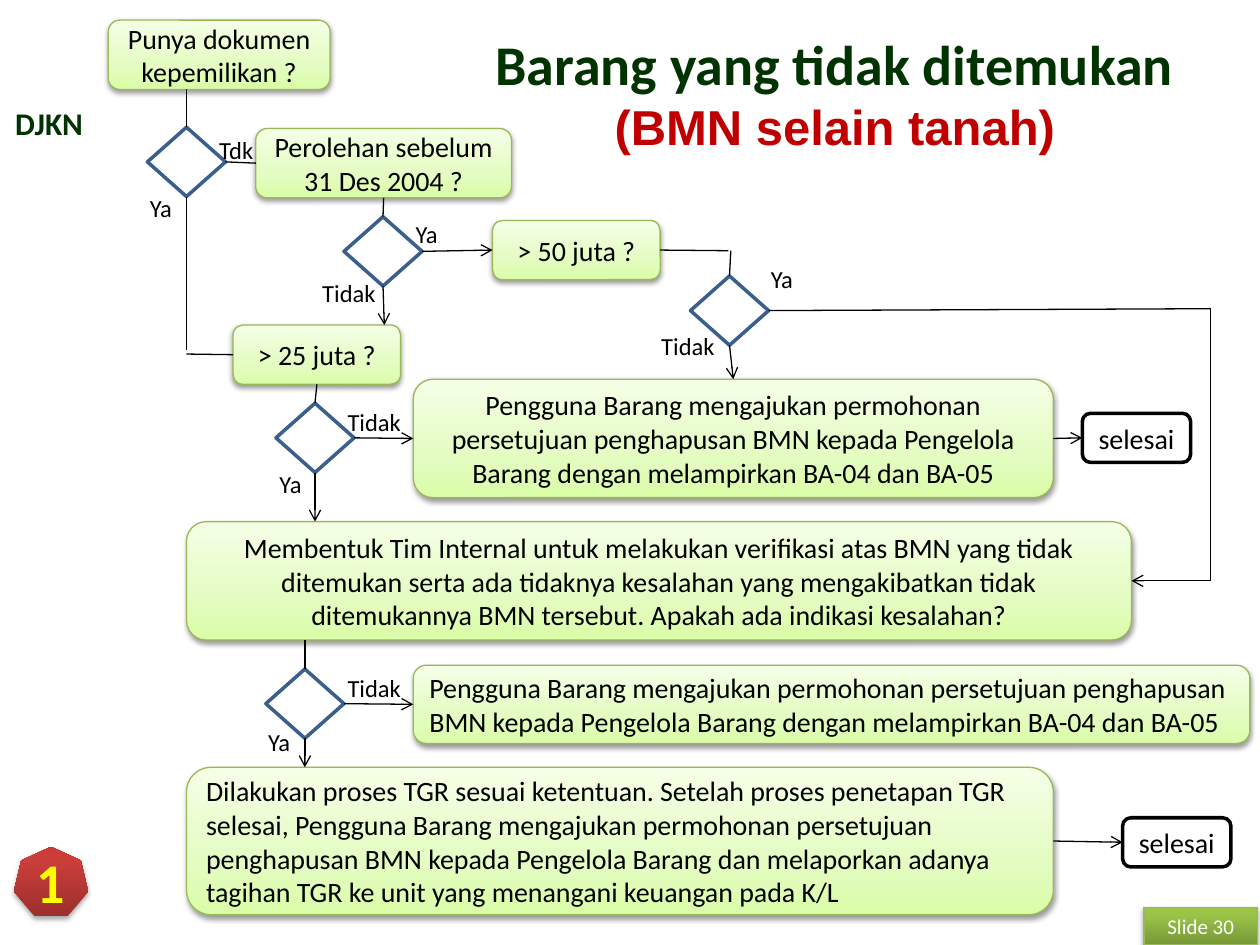
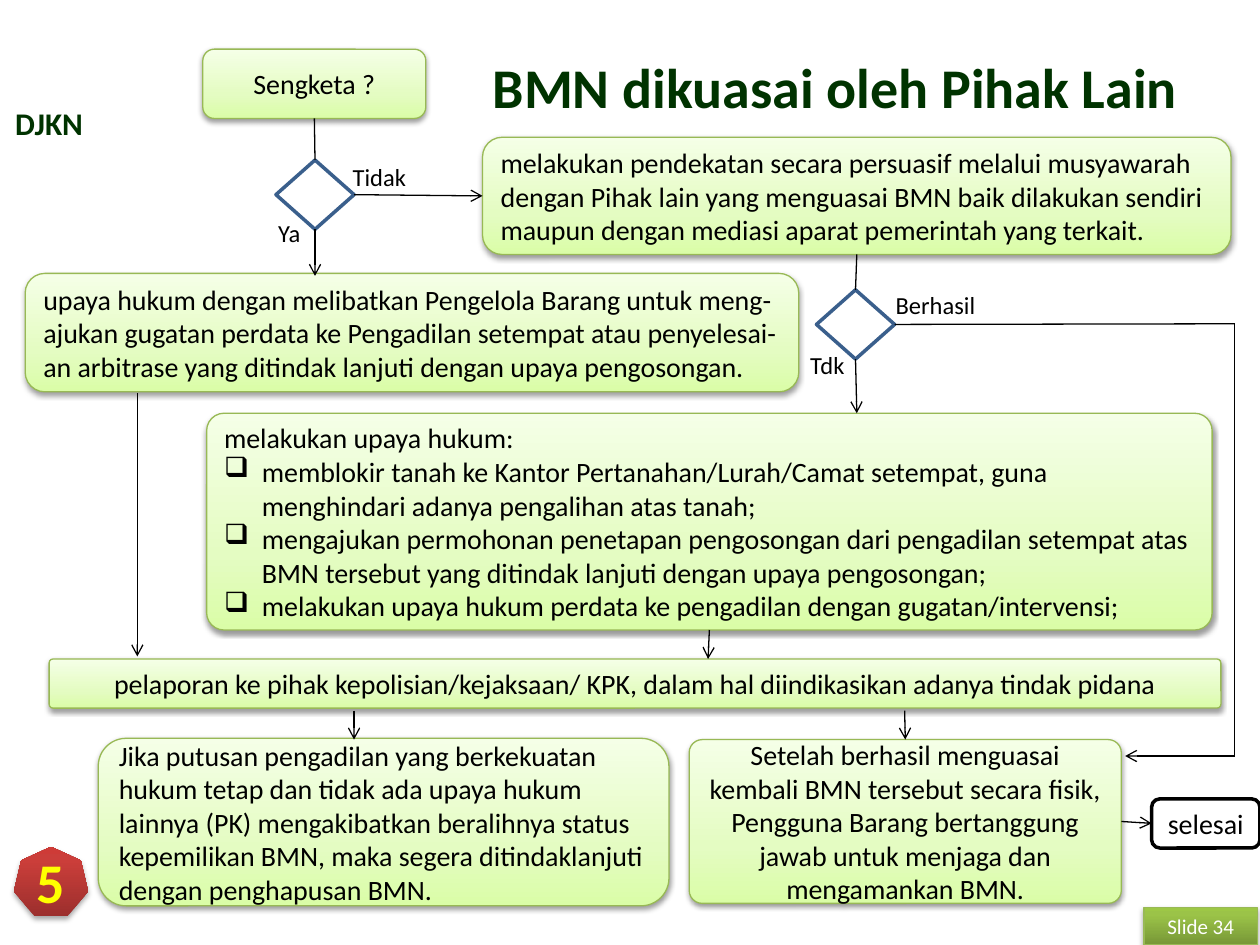
from dataclasses import dataclass
from enum import IntEnum

from lxml.etree import SubElement
from pptx import Presentation
from pptx.dml.color import RGBColor
from pptx.enum.shapes import MSO_CONNECTOR as CONN, MSO_SHAPE as SHAPE
from pptx.enum.text import MSO_ANCHOR as ANCHOR, PP_ALIGN as ALIGN
from pptx.oxml.ns import qn
from pptx.util import Emu, Inches, Pt

COLORS = {
    "black": "000000", "white": "FFFFFF", "title": "003300", "subtitle": "C00000",
    "number": "FFFF00", "edge": "98B955", "diamond": "3A5F8C",
}
BOX_GRADIENT = ((0, "DAFDA7"), (35, "E4FCC2"), (100, "F5FFE7"))
TAG_GRADIENT = ((0, "779737"), (80, "9BC348"), (100, "9DC746"))
BADGE_GRADIENT = ((0, "9C2F2D"), (80, "CB3E3A"), (100, "CE3B37"))


class Site(IntEnum):
    TOP = 0
    LEFT = 1
    BOTTOM = 2
    RIGHT = 3


TOP, LEFT, BOTTOM, RIGHT = Site
Area = tuple[float, float, float, float]
End = tuple[str, Site] | tuple[float, float]  # node side, or a free point


@dataclass(frozen=True)
class Style:
    shape: SHAPE
    gradient: tuple[tuple[int, str], ...] = ()
    fill: str = ""
    line: str = ""
    width: float = 0.75
    shadow: tuple[int, float] = ()  # opacity in percent, distance in points
    color: str = "black"
    size: int = 16
    bold: bool = False


BOX = Style(SHAPE.ROUNDED_RECTANGLE, BOX_GRADIENT, line="edge", shadow=(38, 1.6))
DONE = Style(SHAPE.ROUNDED_RECTANGLE, fill="white", line="black", width=2)
DECISION = Style(SHAPE.DIAMOND, line="diamond", width=2)
BADGE = Style(SHAPE.HEPTAGON, BADGE_GRADIENT, shadow=(35, 1.8),
              color="number", size=32, bold=True)
TAG = Style(SHAPE.RECTANGLE, TAG_GRADIENT, line="edge", shadow=(35, 1.8),
            color="white", size=12)


@dataclass(frozen=True)
class Node:
    name: str
    area: Area
    text: str = ""
    style: Style = BOX
    align: ALIGN = ALIGN.CENTER
    bullets: tuple[str, ...] = ()
    corner: float | None = None


@dataclass(frozen=True)
class Link:
    start: End
    end: End
    arrow: bool = True


@dataclass(frozen=True)
class Label:
    text: str
    area: Area
    align: ALIGN = ALIGN.LEFT


@dataclass(frozen=True)
class Page:
    title: str
    title_area: Area
    badge: str
    number: int
    nodes: tuple[Node, ...]
    links: tuple[Link, ...]
    labels: tuple[Label, ...]
    subtitle: str = ""


def decision(name: str, left: float, top: float) -> Node:
    return Node(name, (left, top, 0.62, 0.55), style=DECISION)


def done(name: str, left: float, top: float) -> Node:
    return Node(name, (left, top, 0.86, 0.39), "selesai", DONE)


def rgb(name: str) -> RGBColor:
    return RGBColor.from_string(COLORS[name])


def add_run(p, text: str, size: int, color: str, bold: bool = False,
            font: str = "Calibri") -> None:
    r = p.add_run()
    r.text = text
    r.font.name, r.font.size, r.font.bold = font, Pt(size), bold
    r.font.color.rgb = rgb(color)


def add_text(slide, text: str, area: Area, size: int, color: str, bold: bool = False,
             align: ALIGN = ALIGN.CENTER, anchor: ANCHOR = ANCHOR.TOP):
    tf = slide.shapes.add_textbox(*map(Inches, area)).text_frame
    tf.word_wrap, tf.vertical_anchor = True, anchor
    p = tf.paragraphs[0]
    p.alignment = align
    add_run(p, text, size, color, bold)
    return p


def set_gradient(sp, stops: tuple[tuple[int, str], ...]) -> None:
    sp.fill.gradient()
    sp.fill.gradient_angle = 90
    gs_list = sp._element.spPr.find(qn("a:gradFill")).find(qn("a:gsLst"))
    for gs in list(gs_list):
        gs_list.remove(gs)
    for pos, color in stops:
        gs = SubElement(gs_list, qn("a:gs"), pos=str(pos * 1000))
        SubElement(gs, qn("a:srgbClr"), val=color)


def set_shadow(sp, opacity: int, distance: float) -> None:
    effects = sp._element.spPr.find(qn("a:effectLst"))
    outer = SubElement(effects, qn("a:outerShdw"), blurRad=str(Pt(3.1)),
                       dist=str(Pt(distance)), dir="5400000", rotWithShape="0")
    color = SubElement(outer, qn("a:srgbClr"), val=COLORS["black"])
    SubElement(color, qn("a:alpha"), val=str(opacity * 1000))


def set_bullet(p) -> None:
    pPr = p._p.get_or_add_pPr()
    indent = Inches(0.3)
    pPr.set("marL", str(indent))
    pPr.set("indent", str(-indent))
    SubElement(pPr, qn("a:buChar"), char="❑")


def add_node(slide, node: Node):
    style = node.style
    sp = slide.shapes.add_shape(style.shape, *map(Inches, node.area))
    if node.corner is not None:
        sp.adjustments[0] = node.corner
    # Fill, outline and shadow
    if style.gradient:
        set_gradient(sp, style.gradient)
    elif style.fill:
        sp.fill.solid()
        sp.fill.fore_color.rgb = rgb(style.fill)
    else:
        sp.fill.background()
    if style.line:
        sp.line.color.rgb = rgb(style.line)
        sp.line.width = Pt(style.width)
    else:
        sp.line.fill.background()
    sp.shadow.inherit = False
    if style.shadow:
        set_shadow(sp, *style.shadow)
    # Text
    if node.text:
        tf = sp.text_frame
        tf.word_wrap, tf.vertical_anchor = True, ANCHOR.MIDDLE
        for i, text in enumerate((node.text, *node.bullets)):
            p = tf.add_paragraph() if i else tf.paragraphs[0]
            if i:
                set_bullet(p)
            p.alignment = node.align
            add_run(p, text, style.size, style.color, style.bold)
    return sp


def add_link(slide, link: Link, shapes: dict) -> None:
    cxn = slide.shapes.add_connector(CONN.STRAIGHT, Emu(0), Emu(0), Emu(0), Emu(0))
    # Free points first, since joining a side keeps the other end in place
    if not isinstance(link.start[0], str):
        cxn.begin_x, cxn.begin_y = map(Inches, link.start)
    if not isinstance(link.end[0], str):
        cxn.end_x, cxn.end_y = map(Inches, link.end)
    if isinstance(link.start[0], str):
        cxn.begin_connect(shapes[link.start[0]], int(link.start[1]))
    if isinstance(link.end[0], str):
        cxn.end_connect(shapes[link.end[0]], int(link.end[1]))
    cxn.line.color.rgb = rgb("black")
    cxn.line.width = Pt(0.75)
    if link.arrow:
        SubElement(cxn.line._get_or_add_ln(), qn("a:tailEnd"), type="arrow")
    SubElement(cxn._element.spPr, qn("a:effectLst"))


def add_page(prs, page: Page) -> None:
    slide = prs.slides.add_slide(prs.slide_layouts[6])
    # Shared frame: unit name, title, number badge and slide tag
    add_text(slide, "DJKN", (0, 0.78, 0.78, 0.4), 18, "title", True)
    p = add_text(slide, page.title, page.title_area, 32, "title", True,
                 anchor=ANCHOR.MIDDLE)
    if page.subtitle:
        p.add_line_break()
        add_run(p, page.subtitle, 28, "subtitle", True, "Arial")
    add_node(slide, Node("badge", (0.11, 6.72, 0.59, 0.55), page.badge, BADGE))
    add_node(slide, Node("tag", (9.08, 7.2, 0.9, 0.3), f"Slide {page.number}", TAG))
    # Flowchart
    shapes = {node.name: add_node(slide, node) for node in page.nodes}
    for link in page.links:
        add_link(slide, link, shapes)
    for label in page.labels:
        add_text(slide, label.text, label.area, 14, "black", align=label.align)


HAPUS = ("Pengguna Barang mengajukan permohonan persetujuan penghapusan BMN kepada "
         "Pengelola Barang dengan melampirkan BA-04 dan BA-05")

NOT_FOUND = Page(
    "Barang yang tidak ditemukan", (3.75, 0.3, 5.75, 0.87), "1", 30,
    subtitle="(BMN selain tanah)",
    nodes=(
        Node("dokumen", (0.86, 0.16, 1.76, 0.55), "Punya dokumen kepemilikan ?"),
        decision("cek dokumen", 1.17, 1.01),
        Node("perolehan", (2.03, 1.02, 2.03, 0.55), "Perolehan sebelum 31 Des 2004 ?"),
        decision("cek perolehan", 2.73, 1.72),
        Node("50 juta", (3.91, 1.75, 1.33, 0.47), "> 50 juta ?"),
        decision("cek 50", 5.48, 2.19),
        Node("25 juta", (1.85, 2.58, 1.33, 0.47), "> 25 juta ?"),
        decision("cek 25", 2.19, 3.2),
        Node("hapus", (3.28, 3.01, 5.08, 0.94), HAPUS),
        done("selesai hapus", 8.59, 3.28),
        Node("tim", (1.48, 4.14, 7.5, 0.94),
             "Membentuk Tim Internal untuk melakukan verifikasi atas BMN yang tidak "
             "ditemukan serta ada tidaknya kesalahan yang mengakibatkan tidak "
             "ditemukannya BMN tersebut. Apakah ada indikasi kesalahan?"),
        decision("cek salah", 2.11, 5.31),
        Node("tanpa salah", (3.28, 5.28, 6.64, 0.62), HAPUS, align=ALIGN.LEFT),
        Node("tgr", (1.48, 6.09, 6.88, 1.17),
             "Dilakukan proses TGR sesuai ketentuan. Setelah proses penetapan TGR "
             "selesai, Pengguna Barang mengajukan permohonan persetujuan penghapusan "
             "BMN kepada Pengelola Barang dan melaporkan adanya tagihan TGR ke unit "
             "yang menangani keuangan pada K/L", align=ALIGN.LEFT),
        done("selesai tgr", 8.91, 6.49),
    ),
    links=(
        Link((1.48, 0.71), ("cek dokumen", TOP), False),
        Link(("cek dokumen", BOTTOM), (1.48, 2.78), False),
        Link((1.48, 2.81), ("25 juta", LEFT), False),
        Link(("cek dokumen", RIGHT), ("perolehan", LEFT), False),
        Link(("perolehan", BOTTOM), ("cek perolehan", TOP), False),
        Link(("cek perolehan", RIGHT), ("50 juta", LEFT)),
        Link(("cek perolehan", BOTTOM), (3.05, 2.58)),
        Link(("50 juta", RIGHT), (5.78, 1.99), False),
        Link((5.8, 1.99), ("cek 50", TOP), False),
        Link(("cek 50", BOTTOM), ("hapus", TOP)),
        Link(("cek 50", RIGHT), (9.61, 2.45), False),
        Link((9.61, 2.45), (9.61, 4.61), False),
        Link((9.61, 4.61), ("tim", RIGHT)),
        Link(("25 juta", BOTTOM), ("cek 25", TOP), False),
        Link(("cek 25", RIGHT), ("hapus", LEFT)),
        Link(("cek 25", BOTTOM), (2.5, 4.14)),
        Link(("hapus", RIGHT), ("selesai hapus", LEFT)),
        Link((2.42, 5.08), ("cek salah", TOP), False),
        Link(("cek salah", RIGHT), ("tanpa salah", LEFT)),
        Link(("cek salah", BOTTOM), (2.42, 6.09)),
        Link(("tgr", RIGHT), ("selesai tgr", LEFT)),
    ),
    labels=(
        Label("Tdk", (1.64, 1.02, 0.62, 0.34)),
        Label("Ya", (1.09, 1.48, 0.55, 0.34)),
        Label("Ya", (3.2, 1.69, 0.55, 0.34)),
        Label("Tidak", (2.3, 2.16, 0.78, 0.34), ALIGN.RIGHT),
        Label("Ya", (6.02, 2.05, 0.55, 0.34)),
        Label("Tidak", (5.08, 2.58, 0.69, 0.34), ALIGN.RIGHT),
        Label("Tidak", (2.66, 3.18, 0.78, 0.34)),
        Label("Ya", (2.12, 3.67, 0.47, 0.34)),
        Label("Tidak", (2.66, 5.29, 0.69, 0.34)),
        Label("Ya", (2.03, 5.72, 0.47, 0.34)),
    ),
)

OCCUPIED = Page(
    "BMN dikuasai oleh Pihak Lain", (3.67, 0.25, 5.92, 0.87), "5", 34,
    nodes=(
        Node("sengketa", (1.61, 0.39, 1.77, 0.55), "Sengketa ?"),
        decision("cek sengketa", 2.19, 1.27),
        Node("persuasif", (3.83, 1.09, 5.94, 0.93),
             "melakukan pendekatan secara persuasif melalui musyawarah dengan Pihak "
             "lain yang menguasai BMN baik dilakukan sendiri maupun dengan mediasi "
             "aparat pemerintah yang terkait.", align=ALIGN.LEFT),
        decision("cek berhasil", 6.48, 2.3),
        Node("gugatan", (0.2, 2.17, 6.14, 0.94),
             "upaya hukum dengan melibatkan Pengelola Barang untuk meng-ajukan gugatan "
             "perdata ke Pengadilan setempat atau penyelesai-an arbitrase yang "
             "ditindak lanjuti dengan upaya pengosongan.", align=ALIGN.LEFT),
        Node("upaya", (1.64, 3.28, 7.98, 1.72), "melakukan upaya hukum:",
             align=ALIGN.LEFT, corner=0.08, bullets=(
                 "memblokir tanah ke Kantor Pertanahan/Lurah/Camat setempat, guna "
                 "menghindari adanya pengalihan atas tanah;",
                 "mengajukan permohonan penetapan pengosongan dari pengadilan setempat "
                 "atas BMN tersebut yang ditindak lanjuti dengan upaya pengosongan;",
                 "melakukan upaya hukum perdata ke pengadilan dengan "
                 "gugatan/intervensi;")),
        Node("pelaporan", (0.39, 5.23, 9.3, 0.39),
             "pelaporan ke pihak kepolisian/kejaksaan/ KPK, dalam hal diindikasikan "
             "adanya tindak pidana", corner=0.08),
        Node("putusan", (0.78, 5.86, 4.53, 1.33),
             "Jika putusan pengadilan yang berkekuatan hukum tetap dan tidak ada upaya "
             "hukum lainnya (PK) mengakibatkan beralihnya status kepemilikan BMN, maka "
             "segera ditindaklanjuti dengan penghapusan BMN.", align=ALIGN.LEFT),
        Node("kembali", (5.47, 5.87, 3.43, 1.3),
             "Setelah berhasil menguasai kembali BMN tersebut secara fisik, Pengguna "
             "Barang bertanggung jawab untuk menjaga dan mengamankan BMN.", corner=0.08),
        done("selesai", 9.14, 6.34),
    ),
    links=(
        Link(("sengketa", BOTTOM), ("cek sengketa", TOP), False),
        Link(("cek sengketa", RIGHT), ("persuasif", LEFT)),
        Link(("cek sengketa", BOTTOM), (2.5, 2.19)),
        Link(("persuasif", BOTTOM), ("cek berhasil", TOP), False),
        Link(("cek berhasil", BOTTOM), (6.8, 3.28)),
        Link(("cek berhasil", RIGHT), (9.8, 2.57), False),
        Link((9.8, 2.57), (9.8, 6), False),
        Link((9.8, 6), (8.93, 6)),
        Link((1.09, 3.12), (1.09, 5.21)),
        Link(("upaya", BOTTOM), (5.62, 5.23)),
        Link((2.81, 5.64), (2.81, 5.87)),
        Link((7.18, 5.64), ("kembali", TOP)),
        Link(("kembali", RIGHT), ("selesai", LEFT)),
    ),
    labels=(
        Label("Tidak", (2.7, 1.24, 0.81, 0.34)),
        Label("Ya", (2.11, 1.68, 0.5, 0.34)),
        Label("Berhasil", (7.01, 2.25, 0.94, 0.34)),
        Label("Tdk", (6.05, 2.73, 0.75, 0.34), ALIGN.RIGHT),
    ),
)
# Adjusted link ends above follow the flow from top to bottom


def main() -> None:
    prs = Presentation()
    prs.slide_width, prs.slide_height = Inches(10), Inches(7.5)
    for page in (NOT_FOUND, OCCUPIED):
        add_page(prs, page)
    prs.save("out.pptx")


if __name__ == "__main__":
    main()
